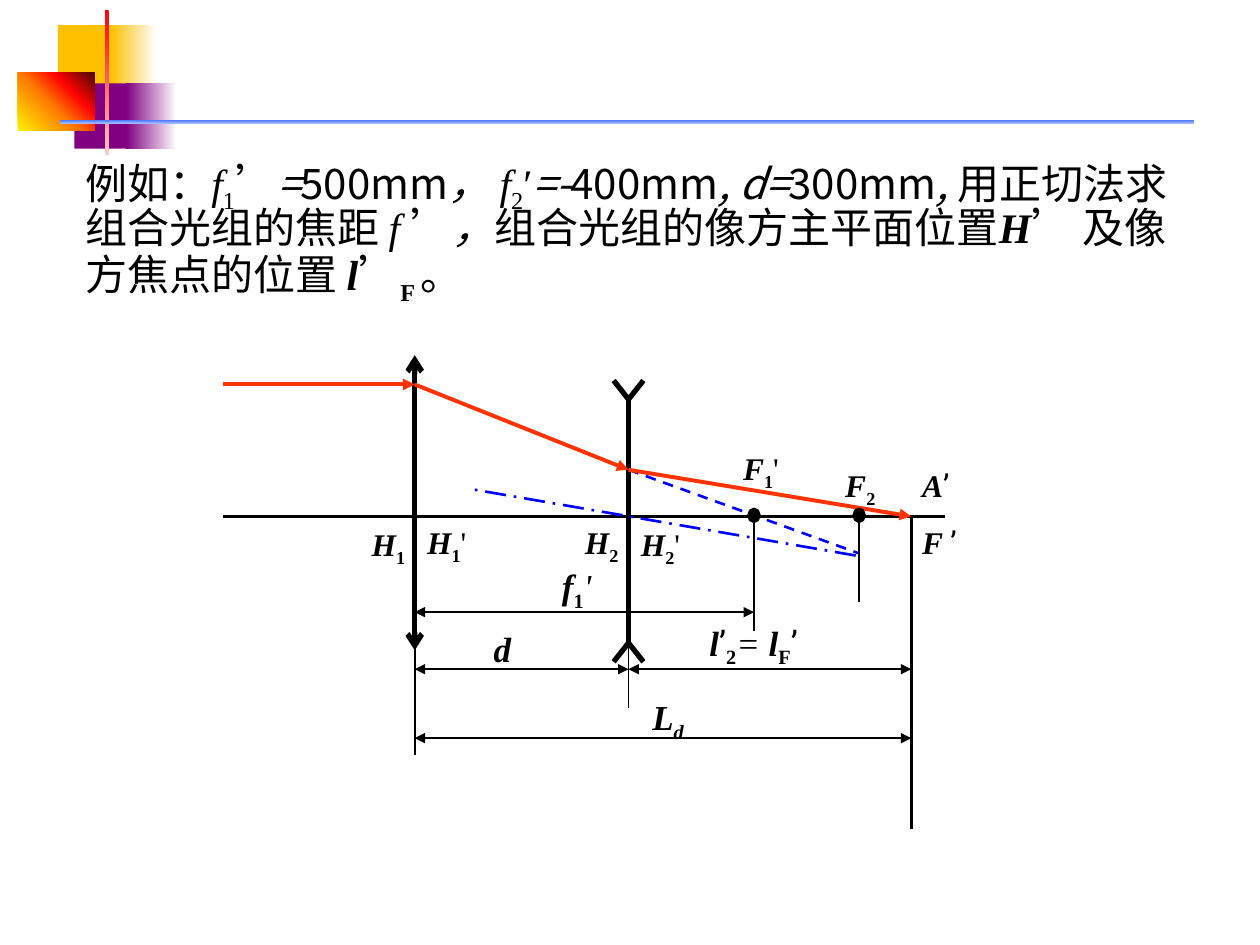
from math import cos, pi, sin

from lxml import etree
from pptx import Presentation
from pptx import util as u
from pptx.dml.color import RGBColor
from pptx.enum import dml, shapes, text
from pptx.oxml.ns import qn

SERIF, CJK, SANS = "Times New Roman", "Noto Sans CJK SC", "Roboto"
BLACK, RED, BLUE = "000000", "FF3300", "0000FF"

# Run formats
ITALIC = dict(font=SERIF, italic=True)
SUB = dict(font=SERIF, subscript=True)
BOLD = dict(font=SERIF, bold=True, italic=True)
BOLD_SUB = dict(font=SERIF, bold=True, subscript=True)
PLAIN = dict(font=SERIF)
MARK = dict(font=SANS)
CHINESE = dict(font=CJK)
CHINESE_ITALIC = dict(font=CJK, italic=True)

STATEMENT = [
    ("例如：", CHINESE), ("f", ITALIC), ("1", SUB), ("’", CHINESE),
    ("=", CHINESE_ITALIC), ("500mm", CHINESE), ("， ", CHINESE_ITALIC),
    ("f", ITALIC), ("2", SUB), ("′", PLAIN), ("=-", CHINESE_ITALIC),
    ("400mm", CHINESE), (", d=", CHINESE_ITALIC), ("300mm", CHINESE),
    (", ", CHINESE_ITALIC), ("用正切法求组合光组的焦距 ", CHINESE),
    ("f ", ITALIC), ("’", CHINESE), ("，", CHINESE_ITALIC),
    ("组合光组的像方主平面位置", CHINESE), ("H", BOLD), ("’ ", CHINESE),
    ("及像方焦点的位置 ", CHINESE), ("l", BOLD), ("’", CHINESE),
    ("F ", BOLD_SUB), ("。", CHINESE),
]

# Positions in centimetres
LENS_1, LENS_2, FOCUS_1, FOCUS_2, IMAGE = 8.36, 12.67, 15.2, 17.32, 18.37
AXIS, RAY_IN, RAY_BENT = 10.41, 7.75, 9.47
TIP_TOP, TIP_BOTTOM = 8.05, 12.96

# left, top, width, height, fill stops (percent, colour), clockwise angle
DECORATION = [
    (1.17, 0.51, 1.22, 1.32, [(0, "FFC000")], 0),
    (2.24, 0.51, 0.91, 1.32, [(0, "FFC000"), (100, "FFFFFF")], 0),
    (1.5, 1.68, 1.17, 1.32, [(0, "800080")], 0),
    (2.54, 1.68, 1.02, 1.32, [(0, "800080"), (100, "FFFFFF")], 0),
    (0.36, 1.47, 1.55, 1.17,
     [(0, "FFF200"), (45, "FF7A00"), (70, "FF0300"), (100, "4D0808")], 315),
    (2.11, 0.2, 0.08, 2.92, [(0, "FF0000"), (100, "FFC9C9")], 90),
    (1.22, 2.41, 22.86, 0.08, [(0, "3366FF"), (100, "A2B9FF")], 90),
]

# start, end, format
LINES = [
    ((4.5, AXIS), (19.05, AXIS), dict(width=1.5)),
    ((LENS_1, 7.16), (LENS_1, 13.11), dict(width=3, head="arrow", tail="arrow")),
    ((LENS_2, TIP_TOP), (LENS_2, TIP_BOTTOM), dict(width=3)),
    ((LENS_2, RAY_BENT), (17.3, 11.15),
     dict(color=BLUE, width=1.5, dash=dml.MSO_LINE.DASH)),
    ((17.25, 11.2), (9.5, 9.86),
     dict(color=BLUE, width=1.5, dash=dml.MSO_LINE.LONG_DASH_DOT)),
    ((FOCUS_2, AXIS), (FOCUS_2, 12.14), {}),
    ((FOCUS_1, AXIS), (FOCUS_1, 12.73), {}),
    ((LENS_1, 12.93), (LENS_1, 15.21), {}),
    ((LENS_2, 12.73), (LENS_2, 14.27), {}),
    ((IMAGE, AXIS), (IMAGE, 16.71), dict(width=0)),
]
RAY = [(4.5, RAY_IN), (LENS_1, RAY_IN), (LENS_2, RAY_BENT), (IMAGE, AXIS)]
DIMENSIONS = [(LENS_1, FOCUS_1, 12.34), (LENS_1, LENS_2, 13.49),
              (LENS_2, IMAGE, 13.49), (LENS_1, IMAGE, 14.88)]

# left, top, width, height, runs, format
NARROW = dict(inset_x=0)
TIGHT = dict(inset_x=0, inset_y=0, size=20)
LABELS = [
    (8.36, 10.41, 1.73, 1.02, [("H", BOLD), ("1", BOLD_SUB), ("'", PLAIN)], {}),
    (7.49, 10.46, 1.12, 1.02, [("H", BOLD), ("1", BOLD_SUB)], NARROW),
    (12.67, 10.46, 1.73, 1.02, [("H", BOLD), ("2", BOLD_SUB), ("'", PLAIN)], {}),
    (11.79, 10.41, 1.12, 1.02, [("H", BOLD), ("2", BOLD_SUB)], NARROW),
    (14.73, 8.92, 1.35, 1.02, [("F", BOLD), ("1", BOLD_SUB), ("'", PLAIN)], {}),
    (16.79, 9.27, 1.73, 1.02, [("F", BOLD), ("2", BOLD_SUB)], {}),
    (18.59, 9.27, 1.12, 1.02, [("A", BOLD), ("’", MARK)], NARROW),
    (18.59, 10.41, 1.12, 1.02, [("F ", BOLD), ("’", MARK)], NARROW),
    (11.33, 11.38, 1.12, 0.84, [("f", BOLD), ("1", BOLD_SUB), ("'", ITALIC)], TIGHT),
    (9.7, 12.52, 0.86, 1.09, [("d", BOLD)], dict(size=20, wrap=False)),
    (14.3, 12.52, 3.4, 0.84,
     [("l", BOLD), ("’", MARK), ("2", BOLD_SUB), ("= ", ITALIC), ("l", BOLD),
      ("F", BOLD_SUB), ("’", MARK)], TIGHT),
    (12.9, 13.89, 1.68, 1.09,
     [("L", BOLD), ("d", dict(BOLD, subscript=True))], dict(size=20)),
]


def rgb(color):
    return RGBColor.from_string(color)


def add_text(slide, left, top, width, height, runs, size=18, inset_x=0.25,
             inset_y=0.13, wrap=True, spacing=None):
    box = slide.shapes.add_textbox(*map(u.Cm, (left, top, width, height)))
    frame = box.text_frame
    frame.word_wrap = wrap
    frame.vertical_anchor = text.MSO_ANCHOR.TOP
    frame.margin_left = frame.margin_right = u.Cm(inset_x)
    frame.margin_top = frame.margin_bottom = u.Cm(inset_y)
    paragraph = frame.paragraphs[0]
    paragraph.line_spacing = spacing
    for content, style in runs:
        run = paragraph.add_run()
        run.text = content
        font = run.font
        font.name, font.size = style["font"], u.Pt(size)
        font.bold = style.get("bold", False)
        font.italic = style.get("italic", False)
        font.color.rgb = rgb(BLACK)
        properties = run._r.get_or_add_rPr()
        etree.SubElement(properties, qn("a:ea"), typeface=style["font"])
        if style.get("subscript"):
            properties.set("baseline", "-25000")


def add_line(slide, start, end, color=BLACK, width=1, dash=None, head=None, tail=None):
    connector = slide.shapes.add_connector(
        shapes.MSO_CONNECTOR.STRAIGHT, *map(u.Cm, start + end))
    line = connector.line
    line.color.rgb, line.width = rgb(color), u.Pt(width)
    if dash:
        line.dash_style = dash
    for tag, kind in (("a:headEnd", head), ("a:tailEnd", tail)):
        if kind:
            etree.SubElement(line._get_or_add_ln(), qn(tag), type=kind)
    etree.SubElement(connector._element.spPr, qn("a:effectLst"))


def add_block(slide, left, top, width, height, stops, angle):
    shape = slide.shapes.add_shape(
        shapes.MSO_SHAPE.RECTANGLE, *map(u.Cm, (left, top, width, height)))
    shape.shadow.inherit = False
    shape.line.fill.background()
    if len(stops) == 1:
        shape.fill.solid()
        shape.fill.fore_color.rgb = rgb(stops[0][1])
        return
    shape.fill.gradient()
    shape.fill.gradient_angle = (360 - angle) % 360
    stop_list = shape._element.spPr.find(".//" + qn("a:gsLst"))
    for old in list(stop_list):
        stop_list.remove(old)
    for percent, color in stops:
        stop = etree.SubElement(stop_list, qn("a:gs"), pos=str(percent * 1000))
        etree.SubElement(stop, qn("a:srgbClr"), val=color)


def add_focus_dot(slide, x, y, radius_x=0.12, radius_y=0.14):
    points = [(u.Cm(x + radius_x * cos(k * pi / 4)), u.Cm(y + radius_y * sin(k * pi / 4)))
              for k in range(8)]
    builder = slide.shapes.build_freeform(*points[0])
    builder.add_line_segments(points[1:], close=True)
    dot = builder.convert_to_shape()
    dot.shadow.inherit = False
    dot.fill.solid()
    dot.fill.fore_color.rgb = dot.line.color.rgb = rgb(BLACK)
    dot.line.width = u.Pt(1)


def main():
    presentation = Presentation()
    presentation.slide_width, presentation.slide_height = u.Cm(25.4), u.Cm(19.05)
    slide = presentation.slides.add_slide(presentation.slide_layouts[6])
    for block in DECORATION:
        add_block(slide, *block)
    add_text(slide, 1.47, 3.1, 22.71, 3.33, STATEMENT, size=24, spacing=0.85)
    for start, end, style in LINES:
        add_line(slide, start, end, **style)
    for start, end in zip(RAY, RAY[1:]):
        add_line(slide, start, end, color=RED, width=2.25, tail="triangle")
    for left, right, y in DIMENSIONS:
        add_line(slide, (left, y), (right, y), head="triangle", tail="triangle")
    for tip, rise in ((TIP_TOP, -0.38), (TIP_BOTTOM, 0.38)):
        for side in (-0.3, 0.3):
            add_line(slide, (LENS_2, tip), (LENS_2 + side, tip + rise), width=3)
    for x in (FOCUS_1, FOCUS_2):
        add_focus_dot(slide, x, 10.39)
    for *place, runs, style in LABELS:
        add_text(slide, *place, runs, **style)
    presentation.save("out.pptx")


if __name__ == "__main__":
    main()
